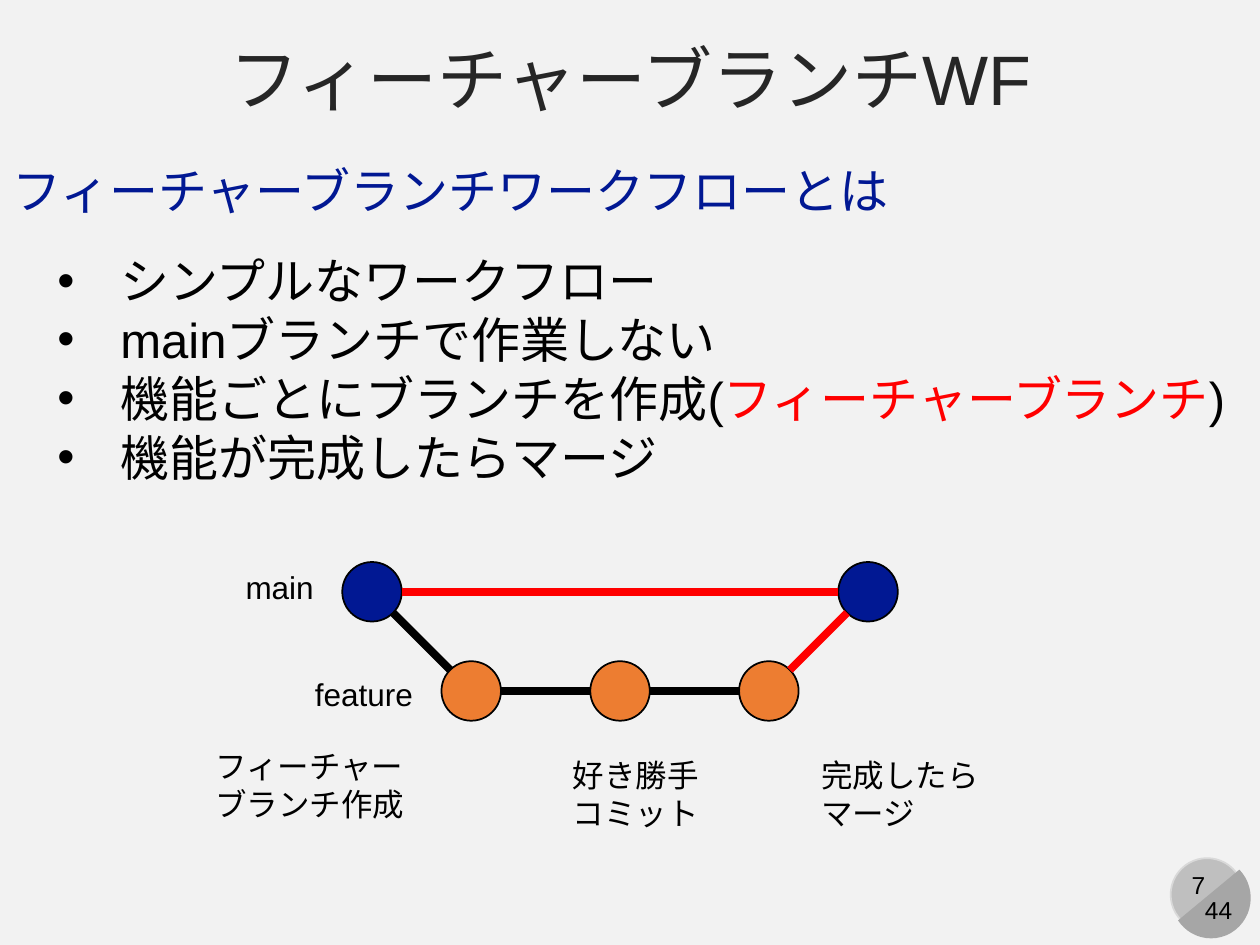
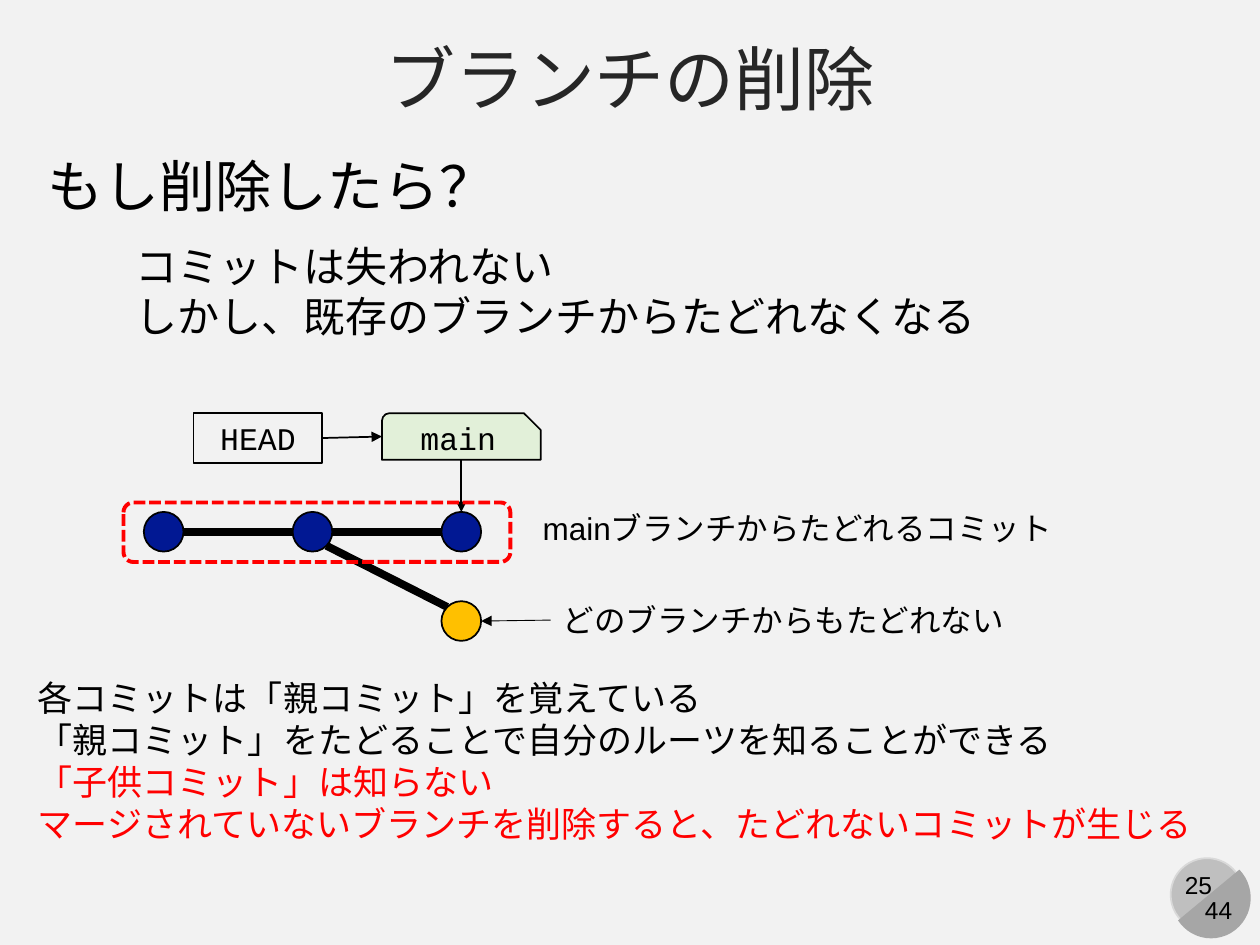
from dataclasses import dataclass
from math import copysign, hypot

from lxml import etree
from pptx import Presentation
from pptx import util as u
from pptx.dml.color import RGBColor
from pptx.enum import dml, shapes, text
from pptx.oxml.ns import qn


@dataclass(frozen=True)
class Theme:
    background: str = "F2F2F2"
    title: str = "262626"
    ink: str = "000000"
    navy: str = "011893"
    orange: str = "ED7D31"
    gold: str = "FFC000"
    red: str = "FF0000"
    branch: str = "E2F0D9"
    badge: str = "BFBFBF"
    badge_rim: str = "D9D9D9"
    badge_shade: str = "A6A6A6"
    font: str = "Arial"
    code_font: str = "Courier New"
    title_size: float = 40
    question_size: float = 32
    lead_size: float = 28
    answer_size: float = 24
    note_size: float = 20
    label_size: float = 18
    page_size: float = 14
    thin: float = 1
    thick: float = 4.5


THEME = Theme()
KIND = shapes.MSO_SHAPE
CENTER = text.PP_ALIGN.CENTER
TOTAL_PAGES = "44"


def rgb(color):
    return RGBColor.from_string(color)


def cm_box(box):
    return [u.Cm(length) for length in box]


def add_runs(paragraph, runs, size, font):
    for words, color in runs:
        run = paragraph.add_run()
        run.text = words
        run.font.size = u.Pt(size)
        run.font.name = font
        run.font.color.rgb = rgb(color)


def make_bullet(paragraph):
    properties = paragraph._p.get_or_add_pPr()
    properties.set("marL", str(u.Cm(1.27)))
    properties.set("indent", str(-u.Cm(1.27)))
    etree.SubElement(properties, qn("a:buFont")).set("typeface", THEME.font)
    etree.SubElement(properties, qn("a:buChar")).set("char", "•")


def add_text(slide, box, lines, size, color=THEME.ink, align=None, bullets=False):
    label = slide.shapes.add_textbox(*cm_box(box))
    frame = label.text_frame
    frame.word_wrap = True
    frame.auto_size = text.MSO_AUTO_SIZE.SHAPE_TO_FIT_TEXT
    for index, line in enumerate(lines):
        paragraph = frame.paragraphs[0] if index == 0 else frame.add_paragraph()
        if bullets:
            make_bullet(paragraph)
        paragraph.alignment = align
        runs = [(line, color)] if isinstance(line, str) else line
        add_runs(paragraph, runs, size, THEME.font)
    return label


def add_figure(slide, kind, box, fill=None, line=THEME.ink, width=THEME.thin):
    figure = slide.shapes.add_shape(kind, *cm_box(box))
    figure.shadow.inherit = False
    if fill:
        figure.fill.solid()
        figure.fill.fore_color.rgb = rgb(fill)
    else:
        figure.fill.background()
    if line:
        figure.line.color.rgb = rgb(line)
        figure.line.width = u.Pt(width)
    else:
        figure.line.fill.background()
    return figure


def add_code_box(slide, kind, box, words, fill=None):
    figure = add_figure(slide, kind, box, fill)
    frame = figure.text_frame
    frame.vertical_anchor = text.MSO_ANCHOR.MIDDLE
    frame.paragraphs[0].alignment = CENTER
    add_runs(frame.paragraphs[0], [(words, THEME.ink)], THEME.label_size, THEME.code_font)
    return figure


def add_line(slide, start, end, color=THEME.ink, width=THEME.thin, arrow=False):
    line = slide.shapes.add_connector(shapes.MSO_CONNECTOR.STRAIGHT, *start, *end)
    line.line.color.rgb = rgb(color)
    line.line.width = u.Pt(width)
    if arrow:
        etree.SubElement(line.line._get_or_add_ln(), qn("a:tailEnd")).set("type", "triangle")
    etree.SubElement(line._element.spPr, qn("a:effectLst"))
    return line


def add_commits(slide, lefts, top, size, color):
    return [add_figure(slide, KIND.OVAL, (left, top, size, size), color) for left in lefts]


def middle(figure):
    return figure.left + figure.width // 2, figure.top + figure.height // 2


def link_commits(slide, parent, child, color=THEME.ink):
    (x1, y1), (x2, y2) = middle(parent), middle(child)
    dx, dy = (copysign(1, d) if d else 0 for d in (x2 - x1, y2 - y1))
    reach = parent.width / 2 / hypot(dx, dy)
    start = int(x1 + dx * reach), int(y1 + dy * reach)
    end = int(x2 - dx * reach), int(y2 - dy * reach)
    add_line(slide, start, end, color, THEME.thick)


def add_page_badge(slide, page):
    left, top = 23.6, 17.3
    add_figure(slide, KIND.OVAL, (left, top, 1.47, 1.47), THEME.badge, THEME.badge_rim)
    shade = add_figure(slide, KIND.CHORD, (left, top, 1.63, 1.6), THEME.badge_shade, None)
    shade.rotation = 270
    shade.adjustments[0] = 27
    shade.adjustments[1] = 141.424
    add_text(slide, (left, 17.42, 1.12, 0.86), [page], THEME.page_size, align=CENTER)
    add_text(slide, (23.88, 17.91, 1.37, 0.86), [TOTAL_PAGES], THEME.page_size, align=CENTER)


def start_slide(deck, title, page):
    slide = deck.slides.add_slide(deck.slide_layouts[6])
    slide.background.fill.solid()
    slide.background.fill.fore_color.rgb = rgb(THEME.background)
    add_page_badge(slide, page)
    heading = add_text(slide, (0, 0.53, 25.4, 2.08), [title], THEME.title_size, THEME.title, CENTER)
    heading.text_frame.auto_size = text.MSO_AUTO_SIZE.NONE
    heading.text_frame.vertical_anchor = text.MSO_ANCHOR.MIDDLE
    return slide


def build_feature_workflow(deck):
    slide = start_slide(deck, "フィーチャーブランチWF", "7")
    add_text(slide, (0, 3.12, 18.47, 1.45), ["フィーチャーブランチワークフローとは"],
             THEME.lead_size, THEME.navy)
    add_text(slide, (0.91, 4.93, 24.41, 5.05), [
        "シンプルなワークフロー",
        "mainブランチで作業しない",
        [("機能ごとにブランチを作成(", THEME.ink), ("フィーチャーブランチ", THEME.red), (")", THEME.ink)],
        "機能が完成したらマージ",
    ], THEME.lead_size, bullets=True)

    base, merged = add_commits(slide, (6.9, 16.9), 11.33, 1.2, THEME.navy)
    features = add_commits(slide, (8.9, 11.9, 14.9), 13.33, 1.2, THEME.orange)
    for parent, child in zip([base, *features], features):
        link_commits(slide, parent, child)
    for parent in (base, features[-1]):
        link_commits(slide, parent, merged, THEME.red)

    for box, lines in (
        ((4.7, 11.33, 1.9, 1.02), ["main"]),
        ((6.1, 13.49, 2.52, 1.02), ["feature"]),
        ((4.09, 14.94, 4.37, 1.8), ["フィーチャー", "ブランチ作成"]),
        ((11.3, 15.11, 3.07, 1.8), ["好き勝手", "コミット"]),
        ((16.31, 15.11, 3.71, 1.8), ["完成したら", "マージ"]),
    ):
        add_text(slide, box, lines, THEME.label_size)


def build_branch_deletion(deck):
    slide = start_slide(deck, "ブランチの削除", "25")
    add_text(slide, (0.71, 2.92, 9.63, 1.63), ["もし削除したら？"], THEME.question_size)
    add_text(slide, (2.49, 4.72, 17.6, 2.31), [
        "コミットは失われない",
        "しかし、既存のブランチからたどれなくなる",
    ], THEME.answer_size)

    mains = add_commits(slide, (2.9, 5.9, 8.9), 10.32, 0.8, THEME.navy)
    orphan, = add_commits(slide, (8.9,), 12.12, 0.8, THEME.gold)
    for parent, child in zip(mains, mains[1:]):
        link_commits(slide, parent, child)
    link_commits(slide, mains[1], orphan)

    head = add_code_box(slide, KIND.RECTANGLE, (3.9, 8.33, 2.6, 1), "HEAD")
    branch = add_code_box(slide, KIND.SNIP_ROUND_RECTANGLE, (7.7, 8.33, 3.2, 0.94),
                          "main", THEME.branch)
    branch.adjustments[0] = 0.167
    branch.adjustments[1] = 0.359
    for source, source_side, target, target_side in ((head, 3, branch, 1), (branch, 2, mains[-1], 0)):
        pointer = add_line(slide, (0, 0), (0, 0), arrow=True)
        pointer.begin_connect(source, source_side)
        pointer.end_connect(target, target_side)

    reachable = add_figure(slide, KIND.ROUNDED_RECTANGLE, (2.49, 10.13, 7.8, 1.2),
                           line=THEME.red, width=2.25)
    reachable.line.dash_style = dml.MSO_LINE.SQUARE_DOT
    add_text(slide, (10.69, 10.13, 10.87, 1.02), ["mainブランチからたどれるコミット"], THEME.label_size)
    add_text(slide, (11.1, 11.99, 9.5, 1.02), ["どのブランチからもたどれない"], THEME.label_size)
    orphan_edge = orphan.left + orphan.width, middle(orphan)[1]
    add_line(slide, cm_box((11.1, 12.5)), orphan_edge, width=0.5, arrow=True)

    add_text(slide, (0.51, 13.51, 24.03, 3.68), [
        "各コミットは「親コミット」を覚えている",
        "「親コミット」をたどることで自分のルーツを知ることができる",
        [("「子供コミット」は知らない", THEME.red)],
        [("マージされていないブランチを削除すると、たどれないコミットが生じる", THEME.red)],
    ], THEME.note_size)


def main():
    deck = Presentation()
    deck.slide_width, deck.slide_height = u.Cm(25.4), u.Cm(19.05)
    build_feature_workflow(deck)
    build_branch_deletion(deck)
    deck.save("out.pptx")


if __name__ == "__main__":
    main()
